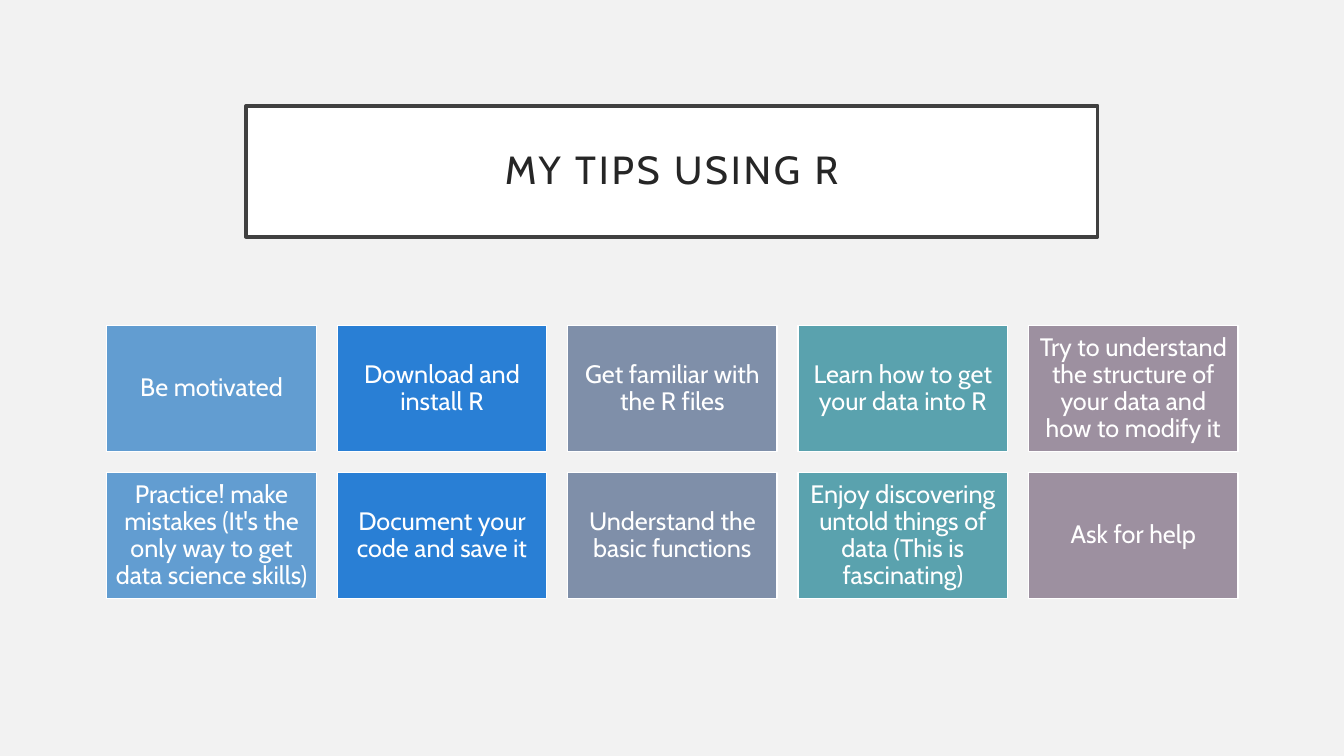
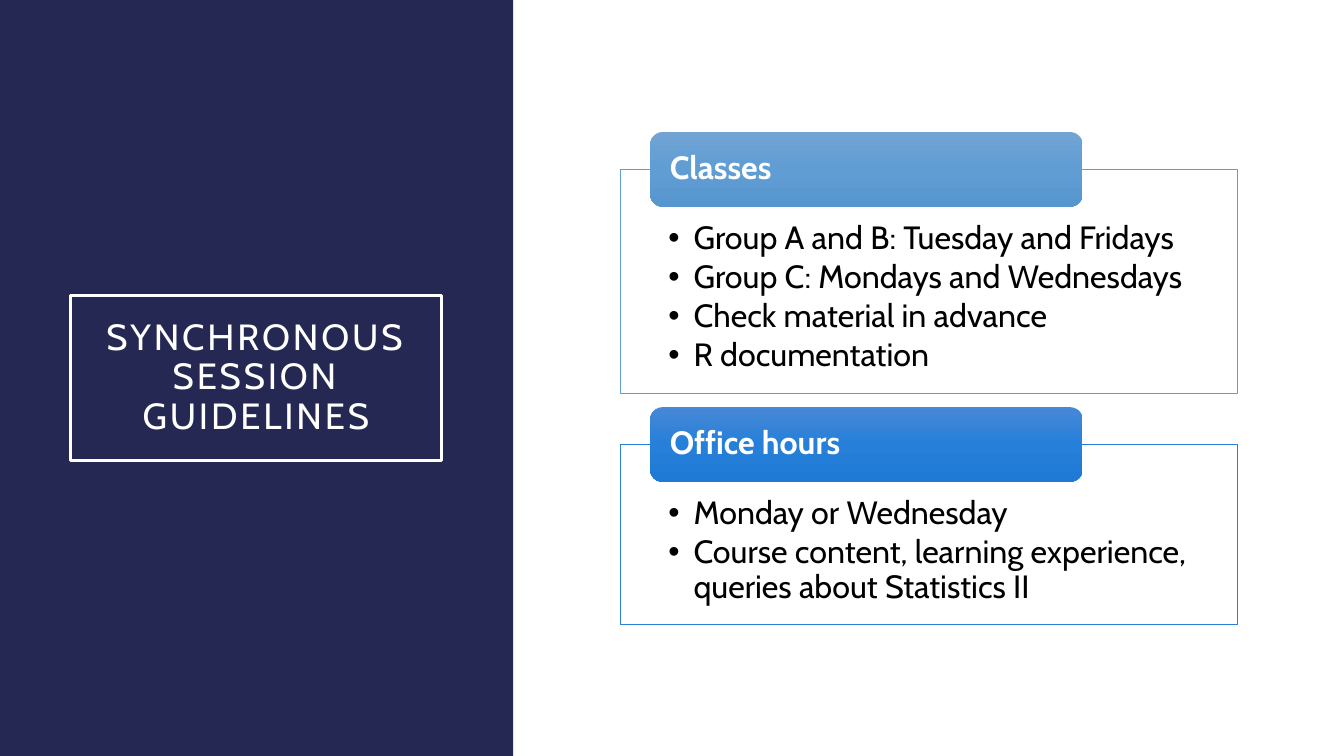
from copy import deepcopy
from dataclasses import dataclass

from lxml import etree
from pptx import Presentation
from pptx.dml.color import RGBColor
from pptx.enum.shapes import MSO_SHAPE
from pptx.enum.text import MSO_ANCHOR, MSO_AUTO_SIZE, PP_ALIGN
from pptx.oxml.ns import qn
from pptx.util import Pt

RECT, ROUND_RECT = MSO_SHAPE.RECTANGLE, MSO_SHAPE.ROUNDED_RECTANGLE
TOP, MIDDLE = MSO_ANCHOR.TOP, MSO_ANCHOR.MIDDLE
LEFT, CENTER = PP_ALIGN.LEFT, PP_ALIGN.CENTER
TITLE_ONLY, TWO_CONTENT = 5, 3


@dataclass(frozen=True)
class Theme:
    font: str = "Cabin"
    white: str = "FFFFFF"
    black: str = "000000"
    pale: str = "F2F2F2"
    navy: str = "242852"
    frame: str = "404040"
    ink: str = "262626"
    tiles: tuple[str, ...] = ("629DD1", "297FD5", "7F8FA9", "5AA2AE", "9D90A0")
    title_size: float = 28
    side_title_size: float = 26
    tile_size: float = 18
    panel_size: float = 23
    title_line: float = 2.5
    tile_line: float = 1
    panel_line: float = 0.5
    line_spacing: float = 0.9


@dataclass(frozen=True)
class Box:
    left: float
    top: float
    width: float
    height: float


@dataclass(frozen=True)
class Panel:
    heading: str
    items: tuple[str, ...]
    height: float
    line: str
    gradient: tuple[str, str, str]


THEME = Theme()
TIPS = (
    "Be motivated",
    "Download and install R",
    "Get familiar with the R files",
    "Learn how to get your data into R",
    "Try to understand the structure of your data and how to modify it",
    "Practice! make mistakes (It's the only way to get data science skills)",
    "Document your code and save it",
    "Understand the basic functions",
    "Enjoy discovering untold things of data (This is fascinating)",
    "Ask for help",
)
TILE_AREA = Box(76.3, 232.6, 149.6, 90)
TILE_GAP = 15
PANELS = (
    Panel("Classes",
          ("Group A and B: Tuesday and Fridays", "Group C: Mondays and Wednesdays",
           "Check material in advance", "R documentation"),
          159.8, THEME.tiles[0], ("71A4D4", "609DD3", "5797CF")),
    Panel("Office hours",
          ("Monday or Wednesday",
           "Course content, learning experience, queries about Statistics II"),
          128.2, THEME.tiles[1], ("4788D7", "267FD8", "1F7AD5")),
)
PANEL_LEFT, PANEL_TOP, PANEL_WIDTH, PANEL_GAP = 442.8, 121, 441.4, 36.7
TAB_INDENT, TAB_WIDTH, TAB_HEIGHT = 21.6, 308.9, 53.3


def rgb(color: str) -> RGBColor:
    return RGBColor.from_string(color)


def place(sp, box: Box) -> None:
    for name in ("left", "top", "width", "height"):
        setattr(sp, name, Pt(getattr(box, name)))


def paint(sp, fill: str | None = None, line: str | None = None, width: float = 0) -> None:
    if fill:
        sp.fill.solid()
        sp.fill.fore_color.rgb = rgb(fill)
    if line:
        sp.line.color.rgb = rgb(line)
        sp.line.width = Pt(width)
    else:
        sp.line.fill.background()


def add_box(slide, kind, box: Box):
    sp = slide.shapes.add_shape(kind, *(Pt(v) for v in (box.left, box.top, box.width, box.height)))
    sp.shadow.inherit = False
    return sp


def write(sp, lines: tuple[str, ...], size: float, color: str,
          insets: tuple[float, float, float, float], align=CENTER, anchor=MIDDLE,
          bold: bool = False, after: float = 0) -> None:
    """Fill a shape with evenly formatted paragraphs; insets run left, top, right, bottom."""
    tf = sp.text_frame
    frame = {"word_wrap": True, "auto_size": MSO_AUTO_SIZE.NONE, "vertical_anchor": anchor}
    frame |= {f"margin_{side}": Pt(v)
              for side, v in zip(("left", "top", "right", "bottom"), insets)}
    for name, value in frame.items():
        setattr(tf, name, value)
    tf.text = "\n".join(lines)
    paragraph = {"alignment": align, "line_spacing": THEME.line_spacing,
                 "space_before": Pt(0), "space_after": Pt(after)}
    font = {"name": THEME.font, "size": Pt(size), "bold": bold}
    for p in tf.paragraphs:
        for name, value in paragraph.items():
            setattr(p, name, value)
        for r in p.runs:
            for name, value in font.items():
                setattr(r.font, name, value)
            r.font.color.rgb = rgb(color)


def add_slide(prs, layout: int, background: str):
    slide = prs.slides.add_slide(prs.slide_layouts[layout])
    slide.background.fill.solid()
    slide.background.fill.fore_color.rgb = rgb(background)
    return slide


def set_title(slide, text: str, box: Box, size: float, color: str,
              line: str, fill: str | None = None) -> None:
    title = slide.shapes.title
    place(title, box)
    paint(title, fill, line, THEME.title_line)
    write(title, (text,), size, color, (14.4,) * 4)
    for r in title.text_frame.paragraphs[0].runs:
        r.font._element.set("spc", "200")


def fill_gradient(sp, colors: tuple[str, str, str]) -> None:
    """Blend three colours evenly from top to bottom."""
    sp.fill.gradient()
    sp.fill.gradient_angle = 270
    stops = sp._element.spPr.find(".//" + qn("a:gsLst"))
    stops.insert(1, deepcopy(stops[0]))
    for i, (stop, color) in enumerate(zip(sp.fill.gradient_stops, colors)):
        stop.position = i / 2
        stop.color.rgb = rgb(color)


def add_panel(slide, body, panel: Panel, top: float) -> None:
    place(body, Box(PANEL_LEFT, top, PANEL_WIDTH, panel.height))
    paint(body, THEME.white, panel.line, THEME.panel_line)
    white = body._element.spPr.find(qn("a:solidFill"))[0]
    etree.SubElement(white, qn("a:alpha")).set("val", "90000")
    write(body, panel.items, THEME.panel_size, THEME.black,
          (34.6, 37.4, 34.6, 13), LEFT, TOP, after=3)
    for p in body.text_frame.paragraphs:
        pPr = p._p.get_or_add_pPr()
        pPr.set("marL", str(Pt(18)))
        pPr.set("indent", str(Pt(-18)))

    tab = add_box(slide, ROUND_RECT, Box(PANEL_LEFT + TAB_INDENT, top - TAB_HEIGHT / 2,
                                         TAB_WIDTH, TAB_HEIGHT))
    paint(tab)
    fill_gradient(tab, panel.gradient)
    write(tab, (panel.heading,), THEME.panel_size, THEME.white,
          (11.5, 0, 11.5, 0), LEFT, bold=True)


def build_tips(prs) -> None:
    slide = add_slide(prs, TITLE_ONLY, THEME.pale)
    set_title(slide, "MY TIPS USING R", Box(175.7, 75.6, 608.4, 93.6),
              THEME.title_size, THEME.ink, THEME.frame, THEME.white)
    area = TILE_AREA
    for i, tip in enumerate(TIPS):
        row, col = divmod(i, len(THEME.tiles))
        tile = add_box(slide, RECT, Box(area.left + col * (area.width + TILE_GAP),
                                        area.top + row * (area.height + TILE_GAP),
                                        area.width, area.height))
        paint(tile, THEME.tiles[col], THEME.white, THEME.tile_line)
        write(tile, (tip,), THEME.tile_size, THEME.white, (5,) * 4)


def build_guidelines(prs) -> None:
    slide = add_slide(prs, TWO_CONTENT, THEME.white)
    band = add_box(slide, RECT, Box(0, 0, 366.5, 540))
    paint(band, THEME.navy)
    slide.shapes.title._element.addprevious(band._element)
    set_title(slide, "SYNCHRONOUS SESSION GUIDELINES", Box(50.4, 211, 265, 118),
              THEME.side_title_size, THEME.white, THEME.white)
    top = PANEL_TOP
    for idx, panel in enumerate(PANELS, start=1):
        add_panel(slide, slide.placeholders[idx], panel, top)
        top += panel.height + PANEL_GAP


def main() -> None:
    prs = Presentation()
    prs.slide_width, prs.slide_height = Pt(960), Pt(540)
    build_tips(prs)
    build_guidelines(prs)
    prs.save("out.pptx")


if __name__ == "__main__":
    main()
